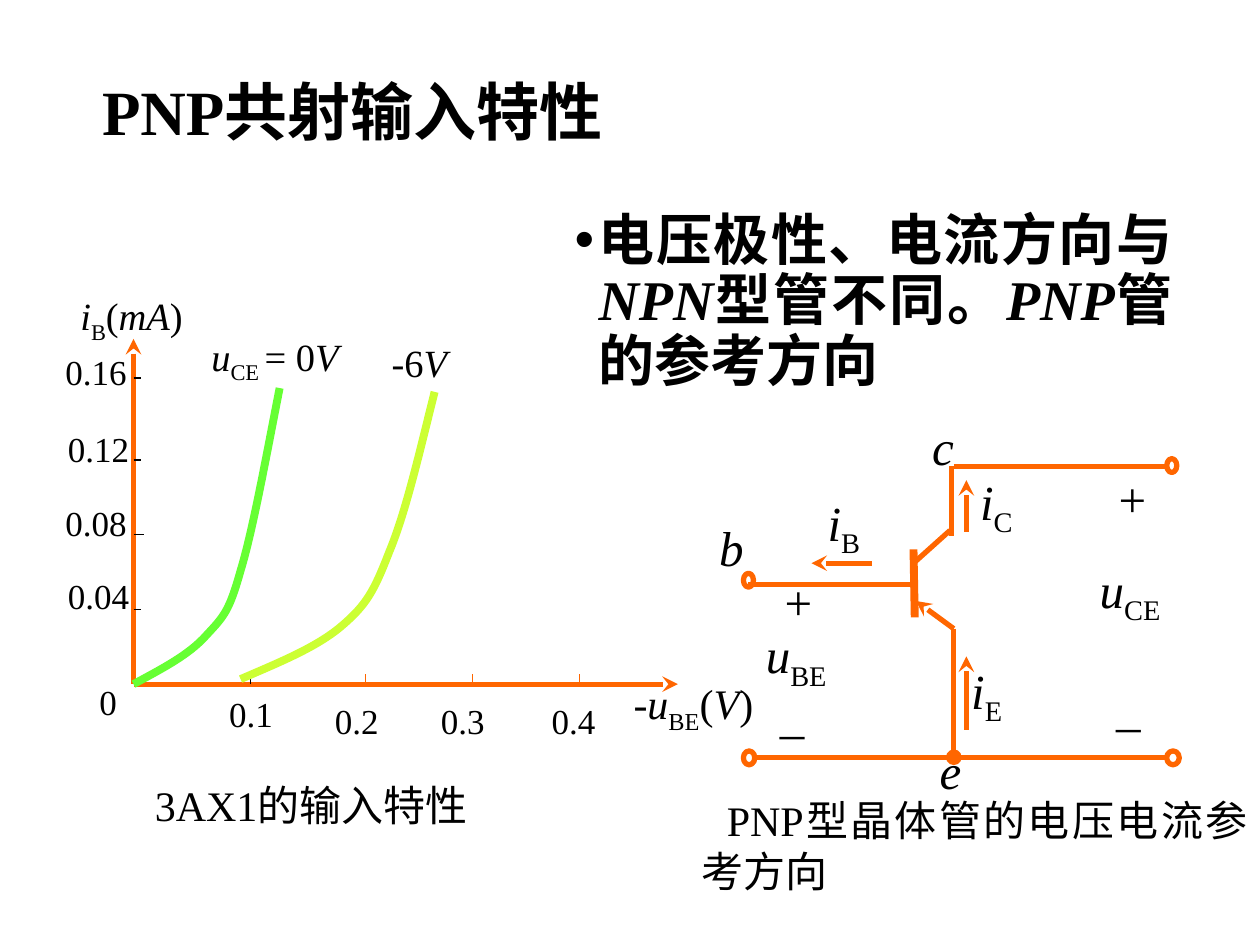
"""Build the slide on PNP common-emitter input characteristics."""
from dataclasses import dataclass
from typing import NamedTuple

from lxml import etree
from pptx import Presentation
from pptx.dml.color import RGBColor
from pptx.enum.shapes import MSO_CONNECTOR, MSO_SHAPE
from pptx.enum.text import MSO_ANCHOR, MSO_AUTO_SIZE, PP_ALIGN
from pptx.oxml.ns import qn
from pptx.util import Pt

STRAIGHT, ELLIPSE = MSO_CONNECTOR.STRAIGHT, MSO_SHAPE.OVAL
LEFT, JUSTIFY = PP_ALIGN.LEFT, PP_ALIGN.JUSTIFY
TOP, MIDDLE = MSO_ANCHOR.TOP, MSO_ANCHOR.MIDDLE
NO_FIT = MSO_AUTO_SIZE.NONE
EMU_PER_PX = 9144


@dataclass(frozen=True)
class Theme:
    font: str = "Times New Roman"
    ink: str = "000000"
    wire: str = "FF6600"
    zero_volt: str = "66FF33"
    six_volt: str = "CCFF33"
    title: int = 36
    body: int = 32
    terminal: int = 28
    caption: int = 24
    curve_label: int = 22
    scale: int = 20
    thin: float = 0.75
    normal: float = 3
    thick: float = 4.5


THEME = Theme()


class Term(NamedTuple):
    text: str
    italic: bool = False
    subscript: bool = False


class Label(NamedTuple):
    left: int
    top: int
    width: int
    height: int
    size: int
    terms: list[Term]


class Wire(NamedTuple):
    start: tuple[int, int]
    end: tuple[int, int]
    color: str = THEME.wire
    weight: float = THEME.normal
    head: str = ""
    tail: str = ""


class Curve(NamedTuple):
    color: str
    points: list[tuple[int, int]]


def px(length: int) -> int:
    """Turn px into EMU."""
    return length * EMU_PER_PX


def quantity(symbol: str, subscript: str) -> list[Term]:
    """Return an italic symbol with an upright subscript."""
    return [Term(symbol, True), Term(subscript, subscript=True)]


def write(paragraph, terms: list[Term], size: int, bold: bool = False) -> None:
    """Add the terms to a paragraph, run by run."""
    for term in terms:
        run = paragraph.add_run()
        run.text = term.text
        font = run.font
        font.name, font.size = THEME.font, Pt(size)
        font.bold, font.italic = bold, term.italic
        font.color.rgb = RGBColor.from_string(THEME.ink)
        if term.subscript:
            font._element.set("baseline", "-25000")


def draw_label(shapes, label: Label, indent: int = 0) -> None:
    """Draw a justified text label."""
    box = shapes.add_textbox(*map(px, label[:4]))
    box.text_frame.word_wrap = True
    paragraph = box.text_frame.paragraphs[0]
    paragraph.alignment = JUSTIFY
    if indent:
        paragraph._p.get_or_add_pPr().set("indent", str(px(indent)))
    write(paragraph, label.terms, label.size)


def style_line(line, color: str, weight: float) -> None:
    """Set the colour and weight of a line."""
    line.color.rgb = RGBColor.from_string(color)
    line.width = Pt(weight)


def draw_wire(shapes, wire: Wire) -> None:
    """Draw a straight line with its optional end marks."""
    connector = shapes.add_connector(STRAIGHT, *map(px, wire.start + wire.end))
    style_line(connector.line, wire.color, wire.weight)
    properties = connector._element.spPr
    outline = properties.find(qn("a:ln"))
    for tag, mark in (("a:headEnd", wire.head), ("a:tailEnd", wire.tail)):
        if mark:
            etree.SubElement(outline, qn(tag), type=mark)
    etree.SubElement(properties, qn("a:effectLst"))


def draw_node(shapes, left: int, top: int, width: int) -> None:
    """Draw an open circuit terminal."""
    node = shapes.add_shape(ELLIPSE, px(left), px(top), px(width), px(11))
    node.shadow.inherit = False
    node.fill.background()
    style_line(node.line, THEME.wire, THEME.normal)


def draw_curve(shapes, curve: Curve) -> None:
    """Draw a chain of cubic curves through a start and triples of points."""
    start, *controls = curve.points
    builder = shapes.build_freeform(*start, scale=EMU_PER_PX)
    builder.add_line_segments(controls, close=False)
    shape = builder.convert_to_shape()
    shape.shadow.inherit = False
    shape.fill.background()
    style_line(shape.line, curve.color, THEME.thick)
    outline = next(shape._element.iter(qn("a:path")))
    steps = outline.findall(qn("a:lnTo"))
    for first in range(0, len(steps), 3):
        cubic = etree.SubElement(outline, qn("a:cubicBezTo"))
        for step in steps[first:first + 3]:
            cubic.append(step[0])
            outline.remove(step)


def fill_placeholder(holder, box: tuple[int, ...], terms: list[Term], size: int,
                     align, anchor, bullet: bool = False) -> None:
    """Move a placeholder and fill it with bold text."""
    holder.left, holder.top, holder.width, holder.height = map(px, box)
    frame = holder.text_frame
    frame.word_wrap, frame.auto_size, frame.vertical_anchor = True, NO_FIT, anchor
    paragraph = frame.paragraphs[0]
    if bullet:
        properties = paragraph._p.get_or_add_pPr()
        properties.set("marL", str(px(19)))
        properties.set("indent", str(px(-19)))
        etree.SubElement(properties, qn("a:buChar"), char="•")
    paragraph.alignment, paragraph.line_spacing = align, 0.9
    paragraph.space_before = Pt(0)
    write(paragraph, terms, size, bold=True)


CIRCUIT_WIRES = [
    Wire((725, 436), (726, 490), weight=THEME.thick),
    Wire((757, 499), (757, 601), tail="oval"), Wire((725, 447), (754, 421)),
    Wire((727, 477), (757, 499), head="stealth"), Wire((600, 601), (928, 601)),
    Wire((725, 464), (594, 464)), Wire((755, 425), (755, 370)),
    Wire((757, 370), (926, 370)), Wire((767, 422), (767, 381), tail="stealth"),
    Wire((767, 579), (767, 521), tail="stealth"),
    Wire((692, 447), (644, 447), tail="stealth"),
]
NODES = [(590, 596, 9), (590, 455, 8), (926, 364, 8), (926, 596, 10)]
CIRCUIT_LABELS = [Label(*box, THEME.terminal, terms) for box, terms in [
    ((730, 326, 62, 74), [Term("c", True)]), ((736, 583, 63, 74), [Term("e", True)]),
    ((561, 406, 62, 74), [Term("b", True)]), ((598, 491, 83, 74), quantity("u", "BE")),
    ((647, 386, 62, 74), quantity("i", "B")), ((768, 369, 63, 74), quantity("i", "C")),
    ((761, 519, 63, 74), quantity("i", "E")), ((863, 439, 90, 74), quantity("u", "CE")),
    ((613, 449, 54, 49), [Term("+")]), ((609, 538, 62, 74), [Term("_")]),
    ((878, 367, 63, 74), [Term("+")]), ((876, 533, 62, 78), [Term("_")]),
]]
AXES = [Wire((106, 269), (106, 543), head="stealth"),
        Wire((106, 543), (538, 543), tail="stealth")]
CURRENT_TICKS = [Wire((106, y), (106 + length, y), THEME.ink, THEME.thin)
                 for y, length in ((484, 6), (424, 8), (365, 6), (300, 6))]
VOLTAGE_TICKS = [Wire((x, 543), (x, 535), color, THEME.thin) for x, color in
                 ((199, THEME.ink), (290, THEME.wire), (375, THEME.wire), (460, THEME.wire))]
SCALE_LABELS = [Label(left, top, width, 67, THEME.scale, [Term(value)])
                for value, left, top, width in [
    ("0", 69, 535, 72), ("0.1", 172, 545, 99), ("0.2", 256, 550, 99),
    ("0.3", 340, 550, 99), ("0.4", 428, 550, 99), ("0.04", 44, 451, 69),
    ("0.08", 42, 393, 99), ("0.12", 44, 334, 99), ("0.16", 42, 273, 99)]]
CHART_LABELS = [
    Label(493, 533, 137, 67, THEME.caption,
          quantity("-u", "BE") + [Term("("), Term("V", True), Term(")")]),
    Label(54, 227, 143, 67, THEME.curve_label,
          quantity("i", "B") + [Term("("), Term("mA", True), Term(")")]),
    Label(158, 259, 157, 67, THEME.curve_label,
          quantity("u", "CE ") + [Term("= 0"), Term("V", True)]),
    Label(301, 264, 99, 67, THEME.curve_label, [Term("-6"), Term("V", True)]),
    Label(113, 614, 309, 67, THEME.caption, [Term("3AX1的输入特性")]),
]
CURVES = [
    Curve(THEME.zero_volt, [(106, 543), (128, 531), (150, 520), (164, 504), (178, 489),
                            (182, 485), (191, 453), (201, 420), (211, 364), (222, 308)]),
    Curve(THEME.six_volt, [(191, 539), (221, 526), (251, 514), (271, 497), (291, 480),
                           (297, 469), (309, 438), (322, 407), (333, 359), (345, 311)]),
]
CIRCUIT_CAPTION = Label(547, 626, 453, 74, THEME.caption, [Term("PNP型晶体管的电压电流参考方向")])
REMARK = [Term("电压极性、电流方向与"), Term("NPN", True), Term("型管不同。"),
          Term("PNP", True), Term("管的参考方向")]


def main() -> None:
    """Assemble and save the slide."""
    deck = Presentation()
    deck.slide_width, deck.slide_height = px(1000), px(750)
    slide = deck.slides.add_slide(deck.slide_layouts[1])
    shapes = slide.shapes
    fill_placeholder(shapes.title, (71, 19, 862, 145), [Term("PNP共射输入特性")],
                     THEME.title, LEFT, MIDDLE)
    fill_placeholder(slide.placeholders[1], (446, 163, 495, 172), REMARK,
                     THEME.body, JUSTIFY, TOP, bullet=True)
    for wire in CIRCUIT_WIRES + AXES + CURRENT_TICKS + VOLTAGE_TICKS:
        draw_wire(shapes, wire)
    for node in NODES:
        draw_node(shapes, *node)
    for curve in CURVES:
        draw_curve(shapes, curve)
    for label in CIRCUIT_LABELS + SCALE_LABELS + CHART_LABELS:
        draw_label(shapes, label)
    draw_label(shapes, CIRCUIT_CAPTION, indent=20)
    deck.save("out.pptx")


if __name__ == "__main__":
    main()
